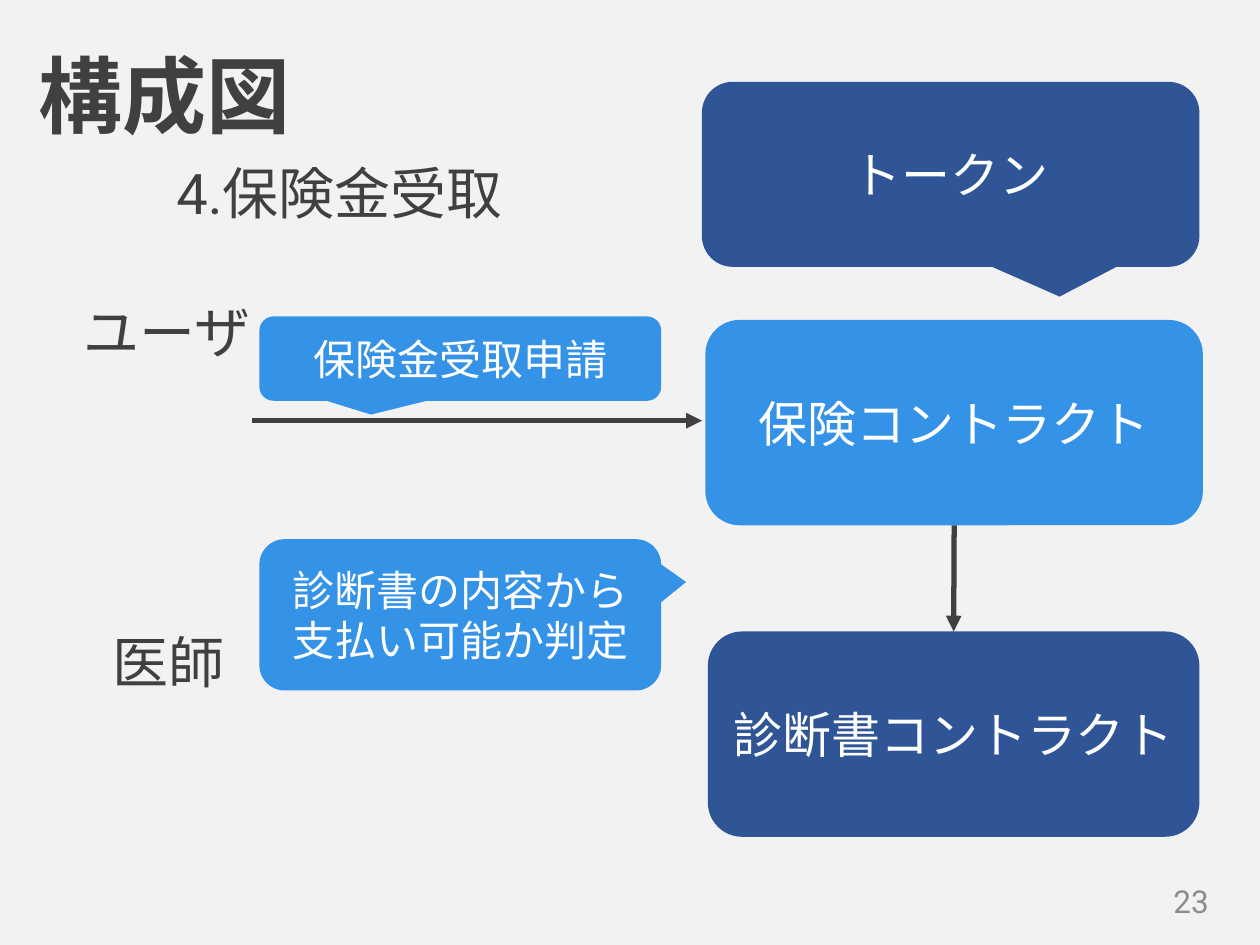
from lxml import etree
from pptx import Presentation
from pptx.dml.color import RGBColor
from pptx.enum.shapes import MSO_CONNECTOR, MSO_SHAPE
from pptx.enum.text import MSO_ANCHOR, PP_ALIGN
from pptx.oxml.ns import qn
from pptx.util import Cm, Pt

ROUNDED = MSO_SHAPE.ROUNDED_RECTANGLE
CALLOUT = MSO_SHAPE.ROUNDED_RECTANGULAR_CALLOUT
STRAIGHT = MSO_CONNECTOR.STRAIGHT
TOP, MIDDLE = MSO_ANCHOR.TOP, MSO_ANCHOR.MIDDLE
LEFT, CENTER, RIGHT = PP_ALIGN.LEFT, PP_ALIGN.CENTER, PP_ALIGN.RIGHT

BLUE, NAVY, DARK = "3492E7", "2F5597", "404040"
WHITE, GRAY, PALE = "FFFFFF", "8C8C8C", "F2F2F2"
TOP_SIDE, BOTTOM_SIDE = 0, 2


def color(value):
    return RGBColor.from_string(value)


def write_text(shape, lines, size, text_color, align=CENTER, anchor=MIDDLE, bold=False):
    frame = shape.text_frame
    frame.word_wrap = True
    frame.vertical_anchor = anchor
    font_format = {"name": "Roboto", "size": Pt(size), "bold": bold}
    for index, line in enumerate(lines):
        paragraph = frame.paragraphs[0] if index == 0 else frame.add_paragraph()
        paragraph.alignment = align
        run = paragraph.add_run()
        run.text = line
        for name, value in font_format.items():
            setattr(run.font, name, value)
        run.font.color.rgb = color(text_color)


def add_label(slide, box, text, size=32, text_color=DARK, **text_format):
    label = slide.shapes.add_textbox(*map(Cm, box))
    write_text(label, [text], size, text_color, **text_format)


def add_panel(slide, kind, box, fill, lines, size, tail=None):
    panel = slide.shapes.add_shape(kind, *map(Cm, box))
    panel.shadow.inherit = False
    panel.fill.solid()
    panel.fill.fore_color.rgb = color(fill)
    panel.line.fill.background()
    if tail:
        for index, value in enumerate((*tail, 0.167)):
            panel.adjustments[index] = value
    write_text(panel, lines, size, WHITE)
    return panel


def add_arrow(slide, start=(0, 0), end=(0, 0)):
    arrow = slide.shapes.add_connector(STRAIGHT, *map(Cm, (*start, *end)))
    arrow.line.color.rgb = color(DARK)
    arrow.line.width = Pt(3)
    line = arrow.line._get_or_add_ln()
    etree.SubElement(line, qn("a:tailEnd"), type="triangle")
    etree.SubElement(arrow._element.spPr, qn("a:effectLst"))
    return arrow


def add_heading(slide, left, top):
    add_label(slide, (left, top, 6.05, 2.31), "構成図", 48,
              align=LEFT, anchor=TOP, bold=True)
    add_label(slide, (left + 0.16, top + 2.31, 12.32, 1.63), "4.保険金受取", anchor=TOP)


def add_actors(slide, left, top):
    add_label(slide, (left + 0.45, top, 4.47, 1.63), "ユーザ", anchor=TOP)
    add_label(slide, (left, top + 6.65, 5.41, 1.63), "医師", anchor=TOP)


def add_contracts(slide, left, top):
    add_panel(slide, CALLOUT, (left, top, 10.03, 3.73), NAVY,
              ["トークン"], 28, (0.219, 0.661))
    insurance = add_panel(slide, ROUNDED, (left + 0.07, top + 4.8, 10.03, 4.14), BLUE,
                          ["保険コントラクト"], 28)
    certificate = add_panel(slide, ROUNDED, (left + 0.12, top + 11.08, 9.91, 4.14), NAVY,
                            ["診断書コントラクト"], 28)
    arrow = add_arrow(slide)
    arrow.begin_connect(insurance, BOTTOM_SIDE)
    arrow.end_connect(certificate, TOP_SIDE)


def add_requests(slide, left, top):
    add_arrow(slide, (left, top + 2.1), (left + 9.07, top + 2.1))
    add_panel(slide, CALLOUT, (left + 0.15, top, 8.1, 1.7), BLUE,
              ["保険金受取申請"], 24, (-0.222, 0.664))
    add_panel(slide, CALLOUT, (left + 0.15, top + 4.49, 8.1, 3.05), BLUE,
              ["診断書の内容から", "支払い可能か判定"], 24, (0.562, -0.217))


def main():
    presentation = Presentation()
    presentation.slide_width, presentation.slide_height = Cm(25.4), Cm(19.05)
    slide = presentation.slides.add_slide(presentation.slide_layouts[6])
    slide.background.fill.solid()
    slide.background.fill.fore_color.rgb = color(PALE)
    add_heading(slide, 0.53, 0.76)
    add_actors(slide, 0.69, 5.87)
    add_contracts(slide, 14.15, 1.65)
    add_requests(slide, 5.08, 6.38)
    add_label(slide, (18.9, 17.65, 5.72, 1.02), "23", 18, GRAY, align=RIGHT)
    presentation.save("out.pptx")


if __name__ == "__main__":
    main()
